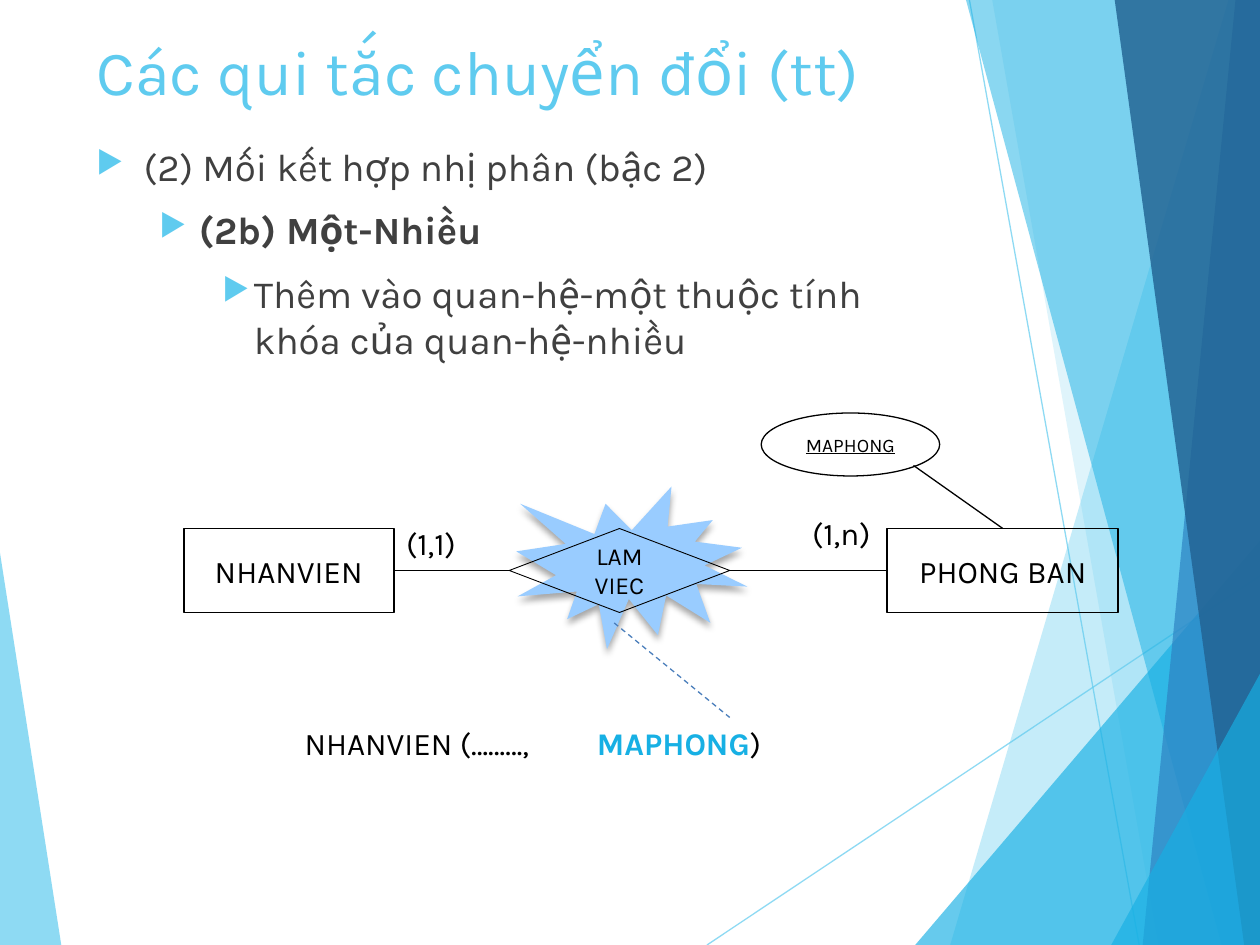
from lxml.etree import SubElement
from pptx import Presentation
from pptx.dml.color import RGBColor
from pptx.enum.dml import MSO_LINE
from pptx.enum.shapes import MSO_CONNECTOR as Link, MSO_SHAPE as Shape
from pptx.enum.text import MSO_ANCHOR as Anchor, MSO_AUTO_SIZE as AutoSize, PP_ALIGN as Align
from pptx.oxml.ns import qn
from pptx.util import Pt

COLORS = {"sky": "5FCBEF", "cyan": "17B0E4", "blue": "2E83C3", "navy": "226292",
          "burst": "99CCFF", "dash": "4A7EBB", "text": "404040",
          "black": "000000", "white": "FFFFFF"}
FONT = "Karla"


def rgb(name):
    """Return the named colour."""
    return RGBColor.from_string(COLORS[name])


def add_xml(parent, tag, **attributes):
    """Append an element with the given attributes."""
    values = {key: str(value) for key, value in attributes.items()}
    return SubElement(parent, qn(tag), values)


def set_alpha(part, percent):
    """Set the opacity of every colour inside an XML part."""
    for color in part.iter(qn("a:srgbClr")):
        add_xml(color, "a:alpha", val=percent * 1000)


def add_run(paragraph, text, size, color="black", **formats):
    """Add a formatted run of text."""
    run = paragraph.add_run()
    run.text = text
    run.font.color.rgb = rgb(color)
    for key, value in {"name": FONT, "size": Pt(size), **formats}.items():
        setattr(run.font, key, value)


def add_line(slide, start, end, color="black", width=0.5):
    """Draw a straight line without a shadow."""
    line = slide.shapes.add_connector(Link.STRAIGHT, *map(Pt, start + end))
    line.line.color.rgb = rgb(color)
    line.line.width = Pt(width)
    add_xml(line._element.spPr, "a:effectLst")
    return line


def add_text_box(slide, left, top, width, height):
    """Add a wrapping text box and return its frame."""
    frame = slide.shapes.add_textbox(*map(Pt, (left, top, width, height))).text_frame
    frame.word_wrap = True
    return frame


def add_node(slide, kind, box, lines, size, width, fill=None, **formats):
    """Add an outlined diagram node with centred lines of text."""
    node = slide.shapes.add_shape(kind, *map(Pt, box))
    node.shadow.inherit = False
    if fill:
        node.fill.solid()
        node.fill.fore_color.rgb = rgb(fill)
    else:
        node.fill.background()
    node.line.color.rgb = rgb("black")
    node.line.width = Pt(width)
    frame = node.text_frame
    frame.vertical_anchor = Anchor.MIDDLE
    for index, text in enumerate(lines):
        paragraph = frame.add_paragraph() if index else frame.paragraphs[0]
        paragraph.alignment = Align.CENTER
        add_run(paragraph, text, size, **formats)
    return node


def add_backdrop(slide, left, top, width, height):
    """Draw the translucent shards and thin lines at the edges."""
    right, bottom = left + width, top + height
    corner, side = [(right, bottom)], [(right, bottom), (right, top)]
    shards = [
        ([(0, 316), (35, height)], [(left, bottom)], "sky", 70),
        ([(702, 0), (543, height)], side, "sky", 36),
        ([(567, 0), (662, height)], side, "sky", 20),
        ([(width, 309), (523, height)], corner, "cyan", 66),
        ([(552, 0), (698, height)], side, "cyan", 50),
        ([(706, 0), (653, height)], side, "blue", 70),
        ([(637, 0), (711, height)], side, "navy", 82),
        ([(width, 385), (635, height)], corner, "cyan", 66),
    ]
    for start, end in (((404, height), (width, 329)), ((554, 0), (651, height))):
        line = add_line(slide, (left + start[0], top + start[1]),
                        (left + end[0], top + end[1]), "sky", 0.75)
        set_alpha(line._element, 70)
    for edge, closing, color, alpha in shards:
        points = [(left + x, top + y) for x, y in edge] + closing
        first, *rest = [(Pt(x), Pt(y)) for x, y in points]
        builder = slide.shapes.build_freeform(*first)
        builder.add_line_segments(rest)
        shard = builder.convert_to_shape()
        shard.shadow.inherit = False
        shard.fill.solid()
        shard.fill.fore_color.rgb = rgb(color)
        set_alpha(shard._element.spPr, alpha)
        shard.line.fill.background()


def add_title(slide, left, top, width, height):
    """Place and format the title."""
    title = slide.shapes.title
    for key, value in {"left": left, "top": top, "width": width, "height": height}.items():
        setattr(title, key, Pt(value))
    frame = title.text_frame
    frame.auto_size = AutoSize.NONE
    frame.vertical_anchor = Anchor.MIDDLE
    frame.paragraphs[0].alignment = Align.LEFT
    add_run(frame.paragraphs[0], "Các qui tắc chuyển đổi (tt)", 36, "sky")


def add_rules(slide, left, top, width, height):
    """Write the three-level list of conversion rules."""
    frame = add_text_box(slide, left, top, width, height)
    rules = [("(2) Mối kết hợp nhị phân (bậc 2)", 27, 27, False),
             ("(2b) Một-Nhiều", 58.5, 22.5, True),
             ("Thêm vào quan-hệ-một thuộc tính khóa của quan-hệ-nhiều", 90, 18, False)]
    for level, (text, margin, hanging, bold) in enumerate(rules):
        paragraph = frame.add_paragraph() if level else frame.paragraphs[0]
        paragraph.level = level
        properties = paragraph._p.get_or_add_pPr()
        properties.set("marL", str(Pt(margin)))
        properties.set("indent", str(-Pt(hanging)))
        add_xml(add_xml(properties, "a:buClr"), "a:srgbClr", val=COLORS["sky"])
        add_xml(properties, "a:buSzPct", val=80000)
        add_xml(properties, "a:buChar", char="▶")
        if level:
            paragraph.space_before = Pt(10)
        add_run(paragraph, text, 22, "text", bold=bold)


def add_burst(slide, left, top, width, height):
    """Draw the shadowed burst behind the relationship."""
    burst = slide.shapes.add_shape(Shape.EXPLOSION1, *map(Pt, (left, top, width, height)))
    burst.fill.solid()
    burst.fill.fore_color.rgb = rgb("burst")
    burst.line.fill.background()
    effects = add_xml(burst._element.spPr, "a:effectLst")
    shadow = add_xml(effects, "a:outerShdw", blurRad=Pt(4), dist=Pt(3),
                     dir=90 * 60000, rotWithShape=0)
    add_xml(shadow, "a:srgbClr", val=COLORS["black"])
    set_alpha(shadow, 35)


def add_diagram(slide, left, top):
    """Draw the one-to-many relationship and the resulting relation."""
    def at(x, y, *size):
        return (left + x, top + y, *size)

    add_burst(slide, *at(190, 42, 132, 93))
    department = add_node(slide, Shape.RECTANGLE, at(402, 66, 132, 48), ["PHONG BAN"], 18, 1)
    add_node(slide, Shape.OVAL, at(330, 0, 102, 36), ["MAPHONG"], 11, 0.75,
             "white", underline=True)
    employee = add_node(slide, Shape.RECTANGLE, at(0, 66, 120, 48), ["NHANVIEN"], 18, 1)
    works_in = add_node(slide, Shape.DIAMOND, at(186, 66, 126, 48), ["LAM", "VIEC"], 14, 0.5)

    key_link = add_line(slide, at(417, 30), at(468, 66), width=0.75)
    key_link.end_connect(department, 0)
    for start, end in ((works_in, department), (employee, works_in)):
        link = add_line(slide, at(0, 90), at(1, 90))
        link.begin_connect(start, 3)
        link.end_connect(end, 1)

    for cardinality, box in (("(1,1)", at(120, 60, 60, 29)), ("(1,n)", at(352, 54, 54, 29))):
        add_run(add_text_box(slide, *box).paragraphs[0], cardinality, 18)

    relation = add_text_box(slide, *at(62, 174, 319, 29)).paragraphs[0]
    tabs = add_xml(relation._p.get_or_add_pPr(), "a:tabLst")
    add_xml(tabs, "a:tab", pos=Pt(167), algn="l")
    add_run(relation, "NHANVIEN (………,\t", 18)
    add_run(relation, "MAPHONG", 18, "cyan", bold=True)
    add_run(relation, ")", 18)
    pointer = add_line(slide, at(246, 120), at(312, 174), "dash", 0.75)
    pointer.line.dash_style = MSO_LINE.DASH


def main():
    """Build and save the slide."""
    deck = Presentation()
    deck.slide_width, deck.slide_height = Pt(720), Pt(540)
    slide = deck.slides.add_slide(deck.slide_layouts[5])
    add_backdrop(slide, 0, 0, 720, 540)
    add_title(slide, 48, 10, 500, 60)
    add_rules(slide, 48, 78, 500, 305)
    add_diagram(slide, 105, 236)
    deck.save("out.pptx")


if __name__ == "__main__":
    main()
